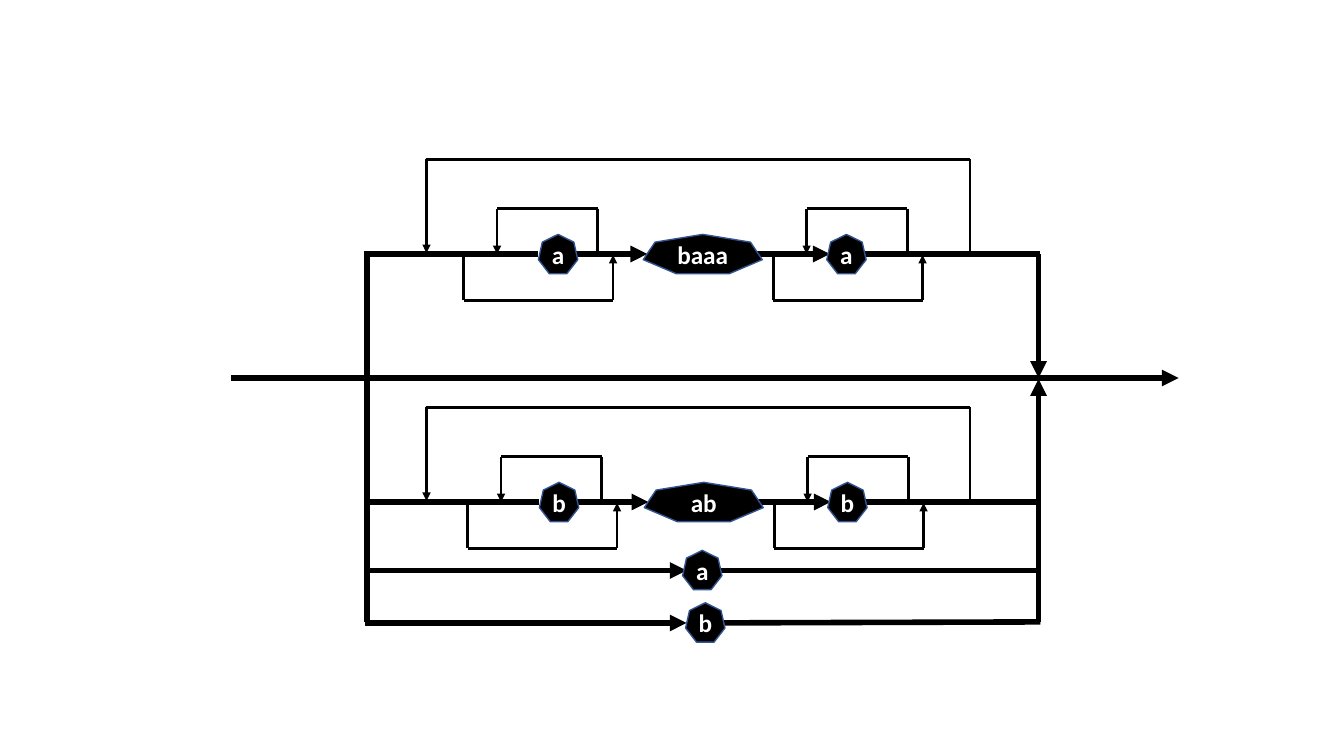
from typing import Any, NamedTuple

from lxml import etree
from pptx import Presentation
from pptx import util as u
from pptx.dml.color import RGBColor
from pptx.enum import shapes, text
from pptx.oxml import ns

BLACK = RGBColor(0, 0, 0)
WHITE = RGBColor(255, 255, 255)
BLUE = RGBColor(0x32, 0x54, 0x91)
THICK, THIN = 4, 2
SIZE = 0.39
TOP, MID, LOW = 2.52, 3.75, 4.98
LEFT, RIGHT = 3.64, 10.3
FONT = {"name": "Calibri", "size": u.Pt(18), "bold": True}
FRAME = {"margin_left": 0, "margin_right": 0, "margin_top": 0,
         "margin_bottom": 0, "word_wrap": False,
         "vertical_anchor": text.MSO_ANCHOR.MIDDLE}


class Wire(NamedTuple):
    x1: float
    y1: float
    x2: float
    y2: float
    arrow: bool = False


class Node(NamedTuple):
    label: str
    x: float
    y: float
    width: float = SIZE


class Loop(NamedTuple):
    start: float
    end: float
    rail: float
    bend: float
    back: bool


def put(item: Any, values: dict[str, Any]) -> None:
    for key, value in values.items():
        setattr(item, key, value)


def draw_wire(tree: Any, wire: Wire, width: float) -> None:
    ends = [u.Inches(v) for v in wire[:4]]
    line = tree.add_connector(shapes.MSO_CONNECTOR.STRAIGHT, *ends)
    line.line.color.rgb = BLACK
    line.line.width = u.Pt(width)
    if wire.arrow:
        tail = etree.SubElement(line.line._get_or_add_ln(), ns.qn("a:tailEnd"))
        tail.set("type", "triangle")
    etree.SubElement(line._element.spPr, ns.qn("a:effectLst"))


def draw_node(tree: Any, node: Node) -> None:
    box = [u.Inches(v) for v in (node.x, node.y, node.width, SIZE)]
    shape = tree.add_shape(shapes.MSO_SHAPE.HEPTAGON, *box)
    shape.shadow.inherit = False
    shape.fill.solid()
    shape.fill.fore_color.rgb = BLACK
    shape.line.color.rgb = BLUE
    shape.line.width = u.Pt(1)
    put(shape.text_frame, FRAME)
    para = shape.text_frame.paragraphs[0]
    para.alignment = text.PP_ALIGN.CENTER
    run = para.add_run()
    run.text = node.label
    put(run.font, FONT)
    run.font.color.rgb = WHITE


def draw_loop(tree: Any, loop: Loop) -> None:
    group = tree.add_group_shape().shapes
    a, b, rail, bend, back = loop
    for wire in (Wire(a, bend, a, rail, back),
                 Wire(b, bend, b, rail, not back),
                 Wire(a, bend, b, bend)):
        draw_wire(group, wire, THIN)


def pair(x: float, rail: float) -> list[Loop]:
    """A repeat above the rail and a bypass below it."""
    return [Loop(x, x + 1.48, rail + 0.01, rail + 0.46, False),
            Loop(x + 0.33, x + 1.33, rail, rail - 0.45, True)]


def main() -> None:
    deck = Presentation()
    put(deck, {"slide_width": u.Inches(13.33), "slide_height": u.Inches(7.5)})
    tree = deck.slides.add_slide(deck.slide_layouts[6]).shapes

    # Main track and the branches' uprights
    wires = [Wire(2.29, MID, 11.69, MID, True),
             Wire(LEFT, 6.17, LEFT, TOP),
             Wire(RIGHT, TOP, RIGHT, MID, True),
             Wire(RIGHT, 6.17, RIGHT, MID + 0.01, True)]
    nodes: list[Node] = []
    loops: list[Loop] = []

    # Two long branches with loops
    for rail, side, word, dx, starts in (
            (TOP, "a", "baaa", 0, (4.6, 7.67)),
            (LOW, "b", "ab", 0.01, (4.64, 7.68))):
        wires += [Wire(3.61, rail, 5.34 + dx, rail),
                  Wire(5.71 + dx, rail, 6.42 + dx, rail, True),
                  Wire(7.38 + dx, rail, 8.23 + dx, rail, True),
                  Wire(8.58 + dx, rail, 10.32, rail)]
        y = rail - 0.195
        nodes += [Node(side, 5.34 + dx, y), Node(word, 6.38 + dx, y, 1.18),
                  Node(side, 8.2 + dx, y)]
        for x in starts:
            loops += pair(x, rail)
        loops.append(Loop(4.23, 9.62, rail - 0.01, rail - 0.94, True))

    # Two short branches
    for label, rail, x, end in (("a", 5.66, 6.77, 5.66),
                                ("b", 6.18, 6.8, 6.17)):
        wires += [Wire(3.62, rail, 6.81, rail, True),
                  Wire(6.99, rail, 10.32, end)]
        nodes.append(Node(label, x, rail - 0.2))

    for wire in wires:
        draw_wire(tree, wire, THICK)
    for node in nodes:
        draw_node(tree, node)
    for loop in loops:
        draw_loop(tree, loop)
    deck.save("out.pptx")


if __name__ == "__main__":
    main()
